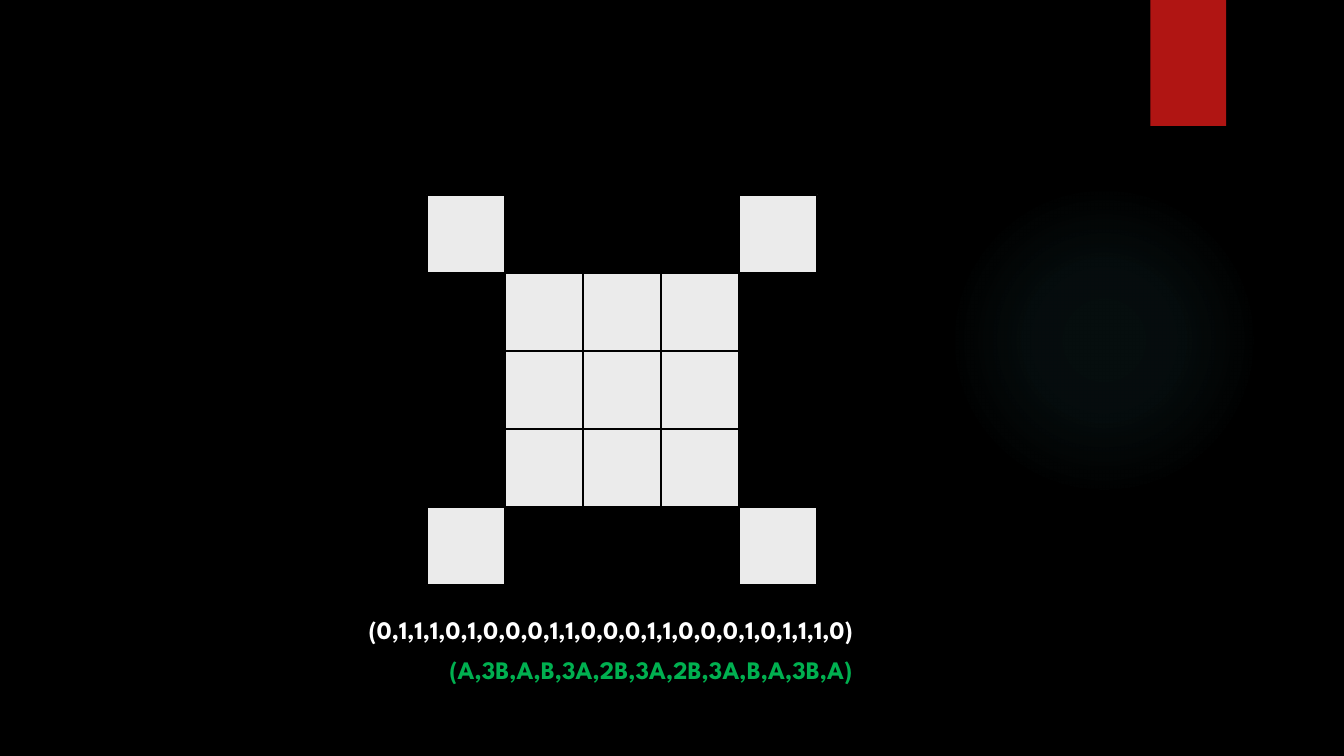
from lxml import etree
from pptx import Presentation
from pptx.dml.color import RGBColor
from pptx.enum.shapes import MSO_SHAPE
from pptx.enum.text import MSO_AUTO_SIZE
from pptx.oxml import parse_xml
from pptx.oxml.ns import nsdecls, qn
from pptx.util import Pt

RECT, OVAL = MSO_SHAPE.RECTANGLE, MSO_SHAPE.OVAL
GROW = MSO_AUTO_SIZE.SHAPE_TO_FIT_TEXT

COLORS = {
    "black": "000000",
    "light": "EBEBEB",
    "white": "FFFFFF",
    "green": "00B050",
    "red": "B01513",
    "teal": "50B9C1",
}
BITS = "0111010001100011000101110"
RUNS = "(A,3B,A,B,3A,2B,3A,2B,3A,B,A,3B,A)"
COLUMNS = 5
CELL = 55.8
GRID_LEFT, GRID_TOP = 304.8, 139
GLOW_STOPS = [(0, 7), (36, 6), (69, 0)]  # position and opacity in percent


class Deck:
    """Style and current slide, with one method per kind of element."""

    font = "League Spartan"
    size = 18

    def __init__(self, slide):
        """Keep the slide and paint its background."""
        self.s = slide
        self.paint(slide.background.fill, "black")

    def paint(self, fill, color):
        """Set a solid fill from the palette."""
        fill.solid()
        fill.fore_color.rgb = RGBColor.from_string(COLORS[color])

    def shape(self, kind, left, top, width, height, color, line=None):
        """Add a flat shape, outlined when a line colour is given."""
        sp = self.s.shapes.add_shape(
            kind, Pt(left), Pt(top), Pt(width), Pt(height))
        sp.shadow.inherit = False
        self.paint(sp.fill, color)
        if line:
            self.paint(sp.line.fill, line)
            sp.line.width = Pt(1.5)
        else:
            sp.line.fill.background()
        return sp

    def glow(self, left, top, diameter, color, stops):
        """Add a circle that fades out from its centre."""
        sp = self.shape(OVAL, left, top, diameter, diameter, color)
        grad = parse_xml(
            f'<a:gradFill {nsdecls("a")} rotWithShape="1"><a:gsLst/>'
            '<a:path path="circle"><a:fillToRect l="50000" t="50000" '
            'r="50000" b="50000"/></a:path></a:gradFill>')
        for pos, opacity in stops:
            gs = etree.SubElement(grad[0], qn("a:gs"), pos=str(pos * 1000))
            clr = etree.SubElement(gs, qn("a:srgbClr"), val=COLORS[color])
            etree.SubElement(clr, qn("a:alpha"), val=str(opacity * 1000))
        solid = sp.element.spPr.find(qn("a:solidFill"))
        solid.getparent().replace(solid, grad)

    def text(self, text, left, top, width, height, color):
        """Add one bold line of text."""
        sp = self.s.shapes.add_textbox(
            Pt(left), Pt(top), Pt(width), Pt(height))
        tf = sp.text_frame
        tf.word_wrap = False
        tf.auto_size = GROW
        tf.text = text
        font = tf.paragraphs[0].runs[0].font
        font.name, font.size, font.bold = self.font, Pt(self.size), True
        font.color.rgb = RGBColor.from_string(COLORS[color])

    def pixel_grid(self, bits):
        """Draw the bits row by row: 0 is light, 1 is black."""
        for i, bit in enumerate(bits):
            row, col = divmod(i, COLUMNS)
            self.shape(RECT, GRID_LEFT + col * CELL, GRID_TOP + row * CELL,
                       CELL, CELL, "black" if bit == "1" else "light",
                       line="black")


def main():
    """Build and save the slide."""
    prs = Presentation()
    prs.slide_width, prs.slide_height = Pt(960), Pt(540)
    deck = Deck(prs.slides.add_slide(prs.slide_layouts[6]))
    deck.glow(677.5, 131.8, 221.8, "teal", GLOW_STOPS)
    deck.shape(RECT, 821.8, 0, 54, 90, "red")
    deck.pixel_grid(BITS)
    deck.text(f"({','.join(BITS)})", 256.3, 434.9, 401.8, 29, "white")
    deck.text(RUNS, 313.9, 463.9, 316.8, 29, "green")
    prs.save("out.pptx")


main()
